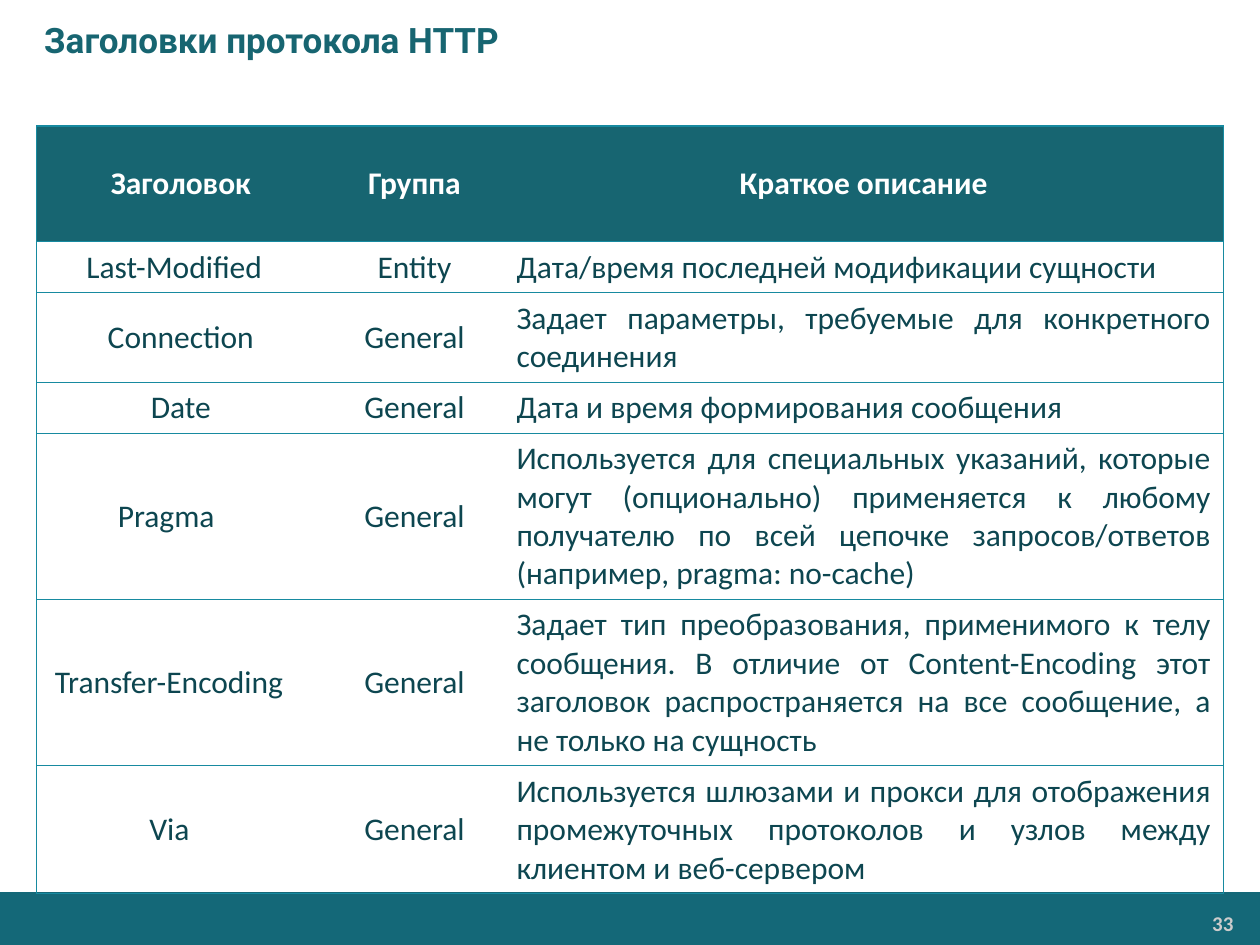
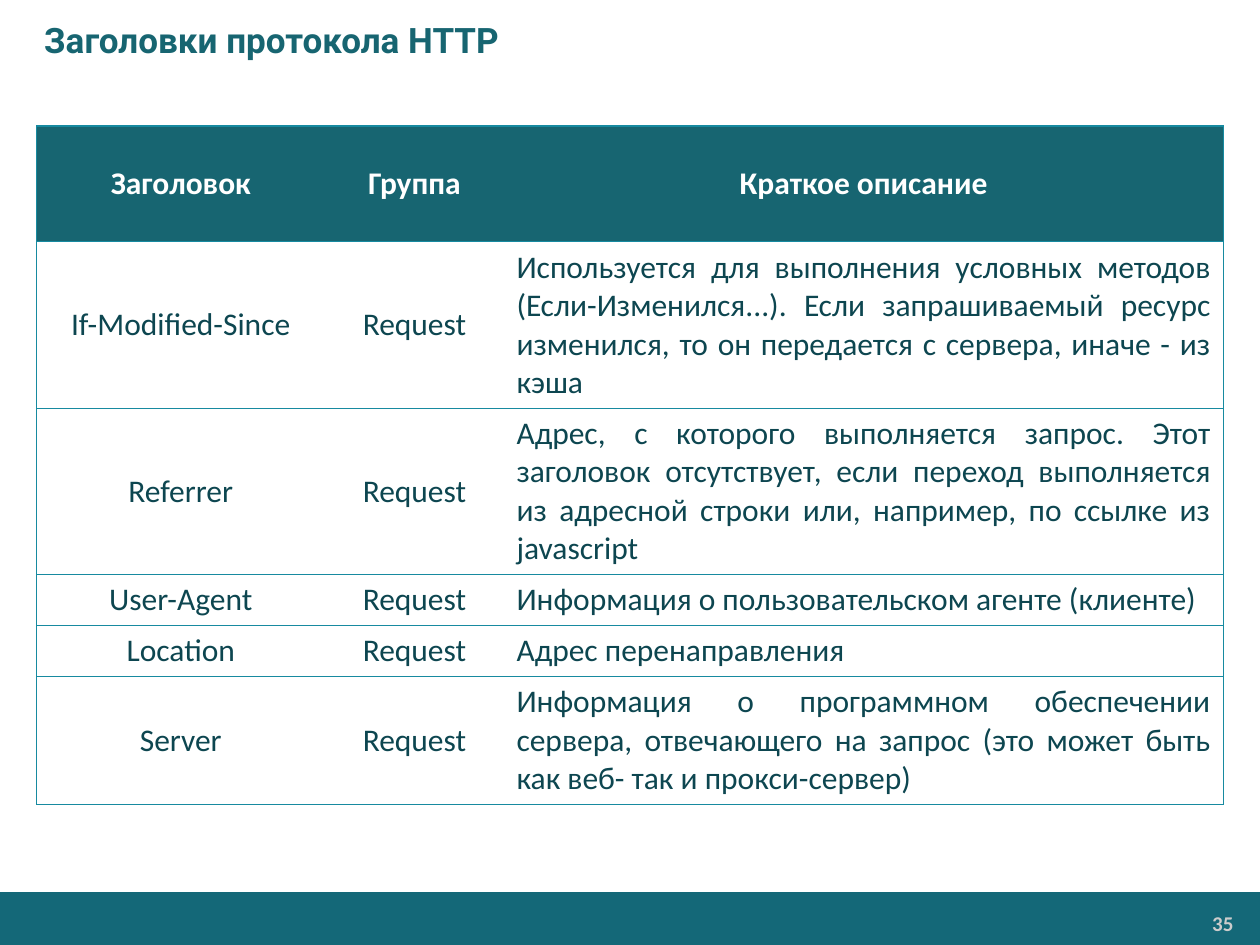
from dataclasses import dataclass

from lxml import etree
from pptx import Presentation
from pptx.dml.color import RGBColor
from pptx.enum.shapes import MSO_SHAPE
from pptx.enum.text import MSO_ANCHOR, MSO_AUTO_SIZE, PP_ALIGN
from pptx.oxml.ns import qn
from pptx.util import Inches, Pt

RECT = MSO_SHAPE.RECTANGLE
MIDDLE = MSO_ANCHOR.MIDDLE
NO_FIT = MSO_AUTO_SIZE.NONE
LEFT, CENTER, RIGHT, JUSTIFY = (
    PP_ALIGN.LEFT, PP_ALIGN.CENTER, PP_ALIGN.RIGHT, PP_ALIGN.JUSTIFY)

TEAL = RGBColor(0x17, 0x65, 0x71)
BAND = RGBColor(0x14, 0x68, 0x78)
RULE = RGBColor(0x17, 0x8A, 0xA0)
INK = RGBColor(0x0D, 0x46, 0x50)
GREY = RGBColor(0xCC, 0xCC, 0xCC)
WHITE = RGBColor(0xFF, 0xFF, 0xFF)

TITLE = {"name": "Roboto", "size": Pt(20), "bold": True}
NUMBER = {"name": "Calibri", "size": Pt(12), "bold": True}
HEAD = {"name": "Calibri", "size": Pt(18), "bold": True}
BODY = {**HEAD, "bold": False}

TITLE_ONLY = 5
TITLE_TEXT = "Заголовки протокола HTTP"
COLUMNS = (("Заголовок", 2.29), ("Группа", 1.42), ("Краткое описание", 5.71))
HEAD_HEIGHT = 0.92
LINE_HEIGHT = 0.305
CELL_PAD = 0.1


@dataclass
class Header:
    name: str
    group: str
    about: str
    lines: int = 1


@dataclass
class Page:
    number: int
    headers: list[Header]


PAGES = [
    Page(33, [
        Header("Last-Modified\t", "Entity",
               "Дата/время последней модификации сущности"),
        Header("Connection", "General",
               "Задает параметры, требуемые для конкретного соединения", 2),
        Header("Date", "General", "Дата и время формирования сообщения"),
        Header("Pragma\t", "General",
               "Используется для специальных указаний, которые могут "
               "(опционально) применяется к любому получателю по всей цепочке "
               "запросов/ответов (например, pragma: no-cache)", 4),
        Header("Transfer-Encoding\t", "General",
               "Задает тип преобразования, применимого к телу сообщения. "
               "В отличие от Content-Encoding этот заголовок распространяется "
               "на все сообщение, а не только на сущность", 4),
        Header("Via\t", "General",
               "Используется шлюзами и прокси для отображения промежуточных "
               "протоколов и узлов между клиентом и веб-сервером", 3),
    ]),
    Page(35, [
        Header("If-Modified-Since", "Request",
               "Используется для выполнения условных методов "
               "(Если-Изменился...). Если запрашиваемый ресурс изменился, "
               "то он передается с сервера, иначе - из кэша", 4),
        Header("Referrer", "Request",
               "Адрес, с которого выполняется запрос. Этот заголовок "
               "отсутствует, если переход выполняется из адресной строки или, "
               "например, по ссылке из javascript", 4),
        Header("User-Agent", "Request",
               "Информация о пользовательском агенте (клиенте)"),
        Header("Location", "Request", "Адрес перенаправления"),
        Header("Server", "Request",
               "Информация о программном обеспечении сервера, отвечающего на "
               "запрос (это может быть как веб- так и прокси-сервер)", 3),
    ]),
]


def write(frame, text: str, style: dict, color: RGBColor, align) -> None:
    frame.text = text
    line = frame.paragraphs[0]
    line.alignment = align
    font = line.runs[0].font
    for key, value in style.items():
        setattr(font, key, value)
    font.color.rgb = color


def add_title(slide) -> None:
    title = slide.shapes.title
    title.left, title.top = Inches(0), Inches(0)
    title.width, title.height = Inches(10), Inches(0.63)
    frame = title.text_frame
    write(frame, TITLE_TEXT, TITLE, TEAL, LEFT)
    frame.margin_left = Inches(0.35)
    frame.vertical_anchor = MIDDLE
    frame.auto_size = NO_FIT


def add_footer(slide, number: int) -> None:
    band = slide.shapes.add_shape(
        RECT, Inches(0), Inches(7.08), Inches(10), Inches(0.42))
    band.shadow.inherit = False
    band.fill.solid()
    band.fill.fore_color.rgb = BAND
    band.line.fill.background()
    box = slide.shapes.add_textbox(
        Inches(8.23), Inches(7.19), Inches(1.63), Inches(0.28))
    frame = box.text_frame
    frame.word_wrap = True
    frame.margin_left = frame.margin_right = Inches(0.07)
    frame.margin_top = frame.margin_bottom = Inches(0.04)
    write(frame, str(number), NUMBER, GREY, RIGHT)


def add_rules(cell, col: int) -> None:
    """Rule a cell above and below, and on the outer sides of the table."""
    sides = {"lnL": col == 0, "lnR": col == len(COLUMNS) - 1,
             "lnT": True, "lnB": True}
    props = cell._tc.get_or_add_tcPr()
    for tag, shown in sides.items():
        line = etree.SubElement(props, qn(f"a:{tag}"), w=str(Pt(0.75)))
        if shown:
            fill = etree.SubElement(line, qn("a:solidFill"))
            etree.SubElement(fill, qn("a:srgbClr"), val=str(RULE))
        else:
            etree.SubElement(line, qn("a:noFill"))


def add_grid(slide, headers: list[Header]) -> None:
    labels = tuple(label for label, _ in COLUMNS)
    rows = [labels] + [(h.name, h.group, h.about) for h in headers]
    heights = [HEAD_HEIGHT] + [CELL_PAD + LINE_HEIGHT * h.lines for h in headers]
    table = slide.shapes.add_table(
        len(rows), len(COLUMNS), Inches(0.29), Inches(1),
        Inches(9.42), Inches(sum(heights))).table
    table.horz_banding = False
    for column, (_, width) in zip(table.columns, COLUMNS):
        column.width = Inches(width)
    for r, (texts, height) in enumerate(zip(rows, heights)):
        table.rows[r].height = Inches(height)
        for c, text in enumerate(texts):
            cell = table.cell(r, c)
            cell.vertical_anchor = MIDDLE
            add_rules(cell, c)
            if r == 0:
                cell.fill.solid()
                cell.fill.fore_color.rgb = TEAL
                write(cell.text_frame, text, HEAD, WHITE, CENTER)
            else:
                cell.fill.background()
                align = JUSTIFY if c == len(COLUMNS) - 1 else CENTER
                write(cell.text_frame, text, BODY, INK, align)


def main() -> None:
    deck = Presentation()
    deck.slide_width, deck.slide_height = Inches(10), Inches(7.5)
    for page in PAGES:
        slide = deck.slides.add_slide(deck.slide_layouts[TITLE_ONLY])
        add_title(slide)
        add_footer(slide, page.number)
        add_grid(slide, page.headers)
    deck.save("out.pptx")


if __name__ == "__main__":
    main()
